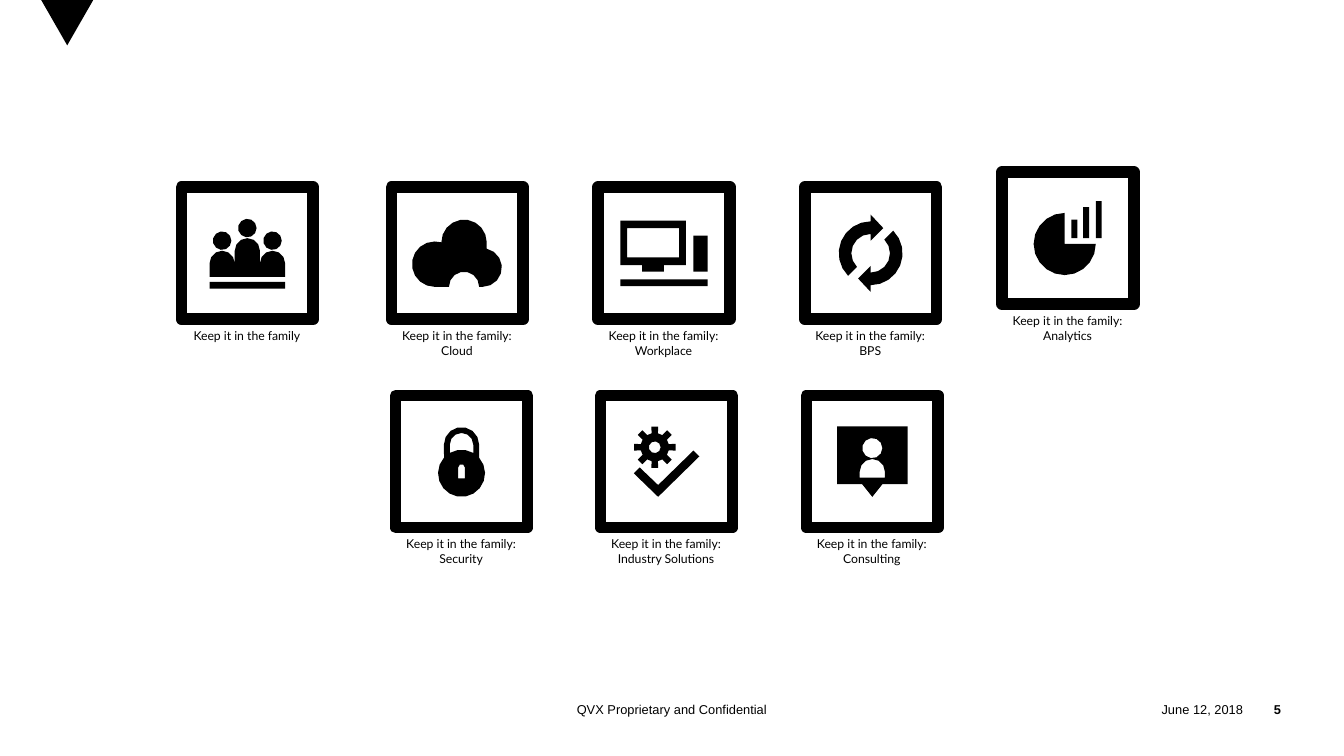
from math import cos, sin, radians, sqrt
from pptx import Presentation
from pptx.dml.color import RGBColor as Color
from pptx.enum.shapes import MSO_SHAPE as Shape
from pptx.enum.text import MSO_ANCHOR as Anchor, MSO_AUTO_SIZE as Fit, PP_ALIGN as Align
from pptx.util import Inches, Pt

THEME = {
    "ink": Color(0, 0, 0),
    "paper": Color(255, 255, 255),
    "label": ("Lato", Pt(10.5)),
    "foot": ("Arial", Pt(11)),
    "frame": Pt(10),
}
SIDE = 1.57


def arc(x, y, r, start, end):
    """Return points on an arc; angles in degrees, clockwise from the right."""
    count = max(1, round(abs(end - start) * sqrt(r) / 11))
    turns = [radians(start + (end - start) * i / count) for i in range(count + 1)]
    return [(x + r * cos(t), y + r * sin(t)) for t in turns]


def box(left, top, right, low):
    """Return the corners of a rectangle."""
    return [(left, top), (right, top), (right, low), (left, low)]


# Icons are lists of outlines, in inches from the centre of the tile
family = [arc(x, y, 0.11, 0, 360) for x, y in ((-0.3, -0.15), (0, -0.3), (0.3, -0.15))]
family += [
    arc(-0.3, 0.12, 0.15, 180, 360) + arc(0, -0.03, 0.15, 180, 360)
    + arc(0.3, 0.12, 0.15, 180, 360) + [(0.45, 0.28), (-0.45, 0.28)],
    box(-0.45, 0.34, 0.45, 0.42),
]

cloud = [
    arc(0.08, 0.4, 0.18, 180, 360) + arc(0.3, 0.17, 0.23, 90, -78)
    + arc(0.08, -0.13, 0.27, 0, -180) + arc(-0.27, 0.13, 0.27, 270, 90)
]

desk = [
    [(0.26, 0.14), (0, 0.14), (0, 0.22), (-0.26, 0.22), (-0.26, 0.14),
     (-0.52, 0.14), (-0.52, -0.39), (0.26, -0.39)],
    box(-0.44, -0.3, 0.18, 0.05),
    box(-0.52, 0.31, 0.52, 0.39),
    box(0.35, -0.21, 0.52, 0.22),
]

arrow = (arc(0, 0, 0.23, 135, 270) + [(0, -0.15), (0.15, -0.3), (0, -0.46)]
         + arc(0, 0, 0.38, 270, 135))
cycle = [arrow, [(-x, -y) for x, y in arrow]]

stats = [box(x, top, x + 0.07, 0) for x, top in ((0.04, -0.22), (0.18, -0.37), (0.33, -0.44))]
stats.append(arc(-0.04, 0.07, 0.37, 0, 270) + [(-0.04, 0.07)])

lock = [
    arc(0, -0.2, 0.21, 180, 360) + arc(0, 0.14, 0.28, -42, 222),
    arc(0, -0.2, 0.14, 180, 360) + arc(0, 0.14, 0.28, -60, -120),
    arc(0, 0.07, 0.04, 180, 360) + [(0.04, 0.2), (-0.04, 0.2)],
]

gear = []
for turn in range(0, 360, 45):
    gear += arc(-0.14, -0.17, 0.17, turn - 32, turn - 13)
    gear += arc(-0.14, -0.17, 0.25, turn - 9, turn + 9)
check = [(-0.1, 0.42), (-0.39, 0.14), (-0.32, 0.07), (-0.1, 0.28), (0.32, -0.13), (0.39, -0.06)]
works = [gear, arc(-0.14, -0.17, 0.07, 0, 360), check]

advice = [
    [(-0.42, -0.42), (-0.42, 0.27), (-0.12, 0.27), (0, 0.42),
     (0.12, 0.27), (0.42, 0.27), (0.42, -0.42)],
    arc(0, -0.16, 0.12, 0, 360),
    arc(0, 0.12, 0.15, 180, 360) + [(0.15, 0.19), (-0.15, 0.19)],
]

TILES = [
    (2.16, 2.23, "", family),
    (4.66, 2.23, ": Cloud", cloud),
    (7.12, 2.23, ": Workplace", desk),
    (9.58, 2.23, ": BPS", cycle),
    (11.93, 2.05, ": Analytics", stats),
    (4.71, 4.71, ": Security", lock),
    (7.15, 4.71, ": Industry Solutions", works),
    (9.6, 4.71, ": Consulting", advice),
]

deck = Presentation()
deck.slide_width, deck.slide_height = Inches(16), Inches(9)
slide = deck.slides.add_slide(deck.slide_layouts[6])
shapes = slide.shapes

# Frames
for left, top, name, icon in TILES:
    frame = shapes.add_shape(Shape.RECTANGLE, *map(Inches, (left, top, SIDE, SIDE)))
    frame.shadow.inherit = False
    frame.fill.solid()
    frame.fill.fore_color.rgb = THEME["paper"]
    frame.line.color.rgb = THEME["ink"]
    frame.line.width = THEME["frame"]

# Icons and the corner mark
marks = [(left + SIDE / 2, top + SIDE / 2, icon) for left, top, name, icon in TILES]
marks.append((0.8, 0, [[(-0.31, 0), (0, 0.54), (0.31, 0)]]))
for x, y, icon in marks:
    paths = [[(Inches(x + dx), Inches(y + dy)) for dx, dy in part] for part in icon]
    pen = shapes.build_freeform(*paths[0][0])
    pen.add_line_segments(paths[0][1:], close=True)
    for path in paths[1:]:
        pen.move_to(*path[0])
        pen.add_line_segments(path[1:], close=True)
    mark = pen.convert_to_shape()
    mark.shadow.inherit = False
    mark.fill.solid()
    mark.fill.fore_color.rgb = THEME["ink"]
    mark.line.fill.background()

# Labels and footer
texts = [
    ("Keep it in the family" + name, left - 0.04, top + 1.63, 1.64,
     0.45 if name else 0.28, "label", Align.CENTER, False)
    for left, top, name, icon in TILES
]
texts += [
    ("QVX Proprietary and Confidential", 5.25, 8.29, 5.5, 0.3, "foot", Align.CENTER, False),
    ("June 12, 2018", 13.01, 8.29, 1.79, 0.3, "foot", Align.RIGHT, False),
    ("5", 14.8, 8.29, 0.45, 0.3, "foot", Align.RIGHT, True),
]
for words, left, top, width, height, style, align, bold in texts:
    frame = shapes.add_textbox(*map(Inches, (left, top, width, height))).text_frame
    frame.text = words
    frame.word_wrap = True
    if style == "label":
        frame.auto_size = Fit.SHAPE_TO_FIT_TEXT
    else:
        frame.vertical_anchor = Anchor.MIDDLE
        frame.margin_left = frame.margin_right = frame.margin_top = frame.margin_bottom = 0
    line = frame.paragraphs[0]
    line.alignment = align
    font = line.runs[0].font
    font.name, font.size = THEME[style]
    font.bold = bold
    font.color.rgb = THEME["ink"]

deck.save("out.pptx")
